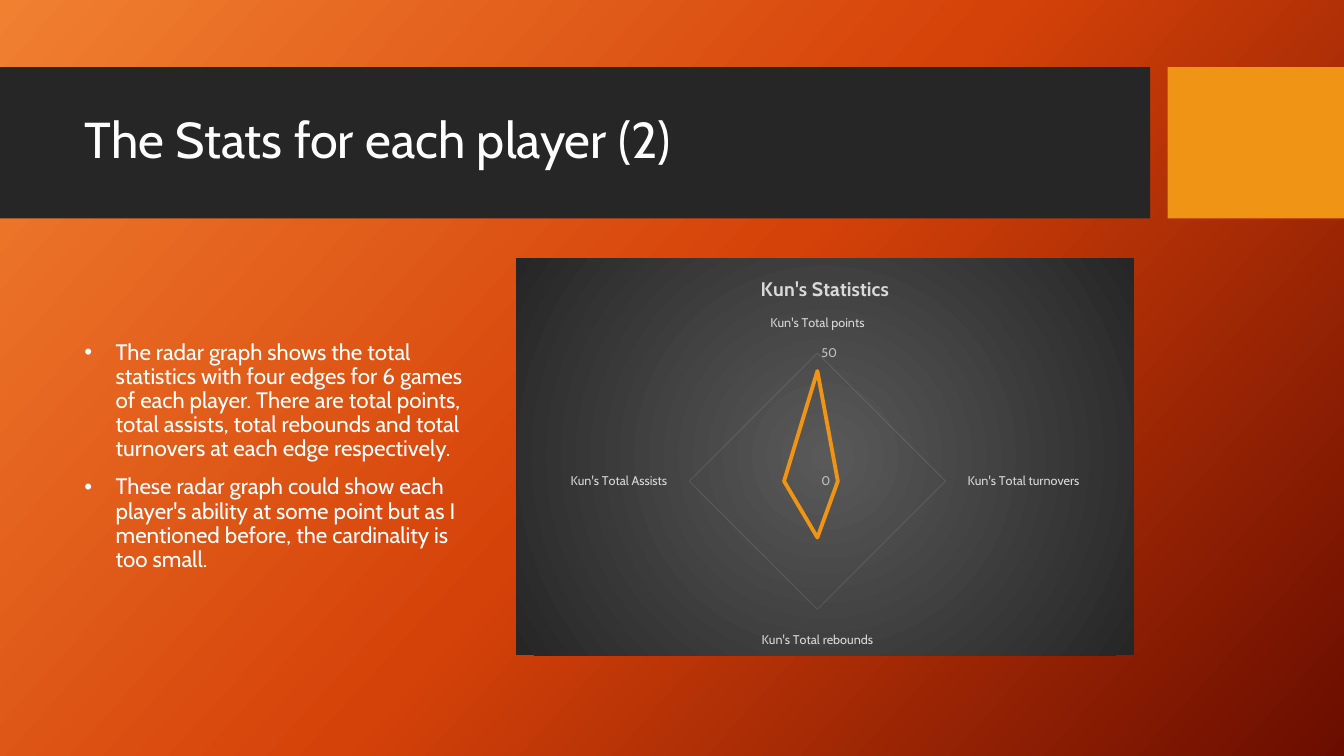
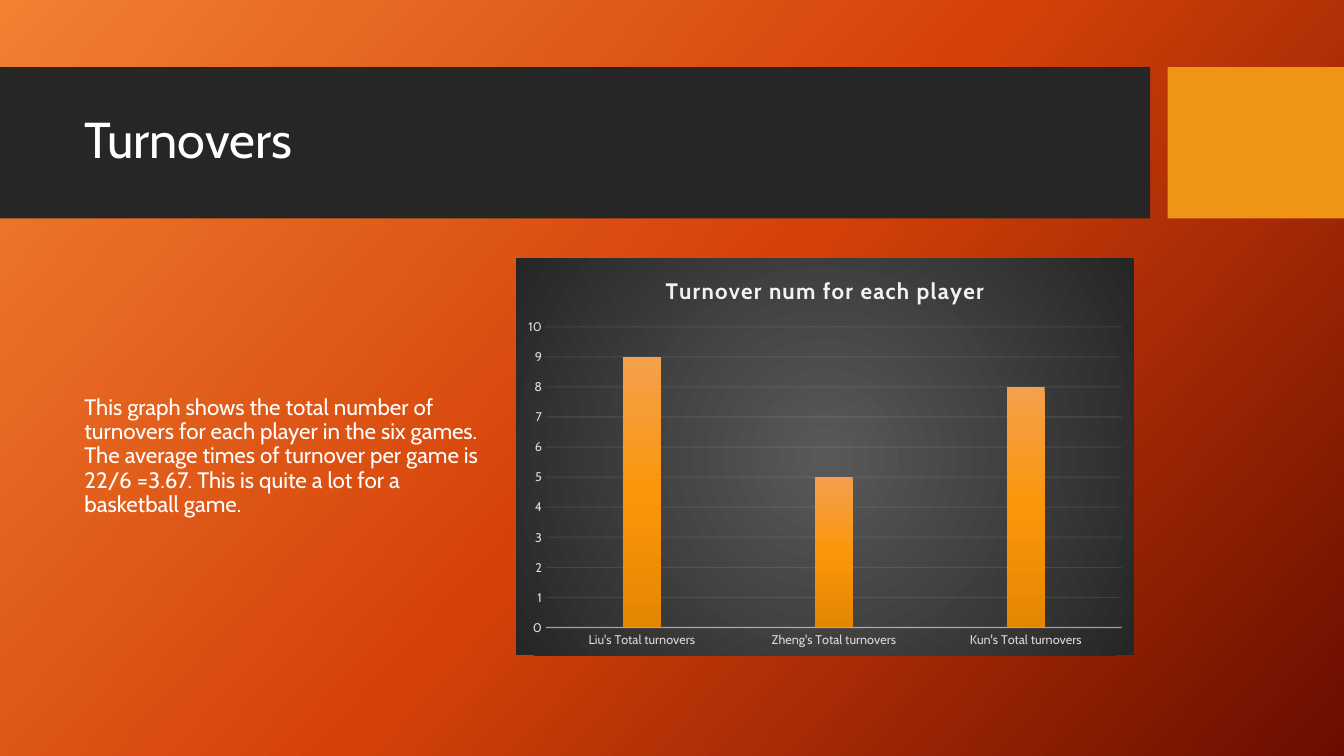
from lxml.etree import SubElement
from pptx import Presentation
from pptx.chart.data import CategoryChartData
from pptx.dml.color import RGBColor
from pptx.enum.chart import XL_CHART_TYPE as ChartType, XL_TICK_MARK as TickMark
from pptx.enum.shapes import MSO_SHAPE as Shape
from pptx.enum.text import MSO_ANCHOR as Anchor
from pptx.oxml import parse_xml
from pptx.oxml.ns import nsdecls, qn
from pptx.util import Emu, Inches, Pt

FONT = "Cabin"
WHITE, DARK, AMBER = "FFFFFF", "262626", "F09415"
PALE, SOFT, MUTED = "F2F2F2", "D9D9D9", "BFBFBF"
BACKDROP = [(0, "F18031"), (50, "D54209"), (100, "6A0D00")]
CHART_GLOW = [(0, "595959"), (100, DARK)]
BAR_GLOW = [(0, "F4A04D"), (50, "FB960A"), (100, "E58603")]

# The slide is a grid of 80 columns by 45 rows; areas are left, top, width, height.
COLUMNS, ROWS = 80, 45
CELL = Inches(1 / 6)
TITLE_BAND = (0, 4, 68.46, 9)
ACCENT_BLOCK = (69.5, 4, 10.5, 9)
TITLE_AREA = (4.44, 4.92, 63.06, 7.08)
BODY_AREA = (4.44, 15.36, 24.84, 23.64)
CHART_AREA = (30.72, 15.36, 36.78, 23.64)


def place(area):
    """Turn a grid area into slide lengths."""
    return [Emu(int(cells * CELL)) for cells in area]


def rgb(value):
    """Make a colour from a hex string."""
    return RGBColor.from_string(value)


def style_font(font, size, color, bold=False):
    """Set the deck's typeface with a size, colour and weight."""
    font.name, font.size, font.bold = FONT, Pt(size), bold
    font.color.rgb = rgb(color)


def gradient(stops, angle=None):
    """Build a linear gradient fill, or a circular one without an angle."""
    marks = "".join(
        f'<a:gs pos="{share * 1000}"><a:srgbClr val="{color}"/></a:gs>'
        for share, color in stops)
    if angle is None:
        sides = " ".join(f'{side}="50000"' for side in "ltrb")
        course = f'<a:path path="circle"><a:fillToRect {sides}/></a:path>'
    else:
        course = f'<a:lin ang="{angle * 60000}" scaled="0"/>'
    return parse_xml(f'<a:gradFill {nsdecls("a")} rotWithShape="1">'
                     f'<a:gsLst>{marks}</a:gsLst>{course}</a:gradFill>')


def fill_gradient(fill, owner, stops, angle):
    """Replace the fill inside its owner element with a gradient."""
    fill.solid()
    fill.fore_color.rgb = rgb(stops[0][1])
    plain = next(owner.iter(qn("a:solidFill")))
    plain.getparent().replace(plain, gradient(stops, angle))


def style_line(line, color, width, opacity=100):
    """Set a line's colour, width and opacity in percent."""
    line.color.rgb, line.width = rgb(color), Pt(width)
    if opacity < 100:
        tint = next(line._get_or_add_ln().iter(qn("a:srgbClr")))
        SubElement(tint, qn("a:alpha")).set("val", str(opacity * 1000))


def add_block(slide, area, color):
    """Draw a flat rectangle."""
    block = slide.shapes.add_shape(Shape.RECTANGLE, *place(area))
    block.shadow.inherit = False
    block.fill.solid()
    block.fill.fore_color.rgb = rgb(color)
    block.line.fill.background()


def add_text(slide, area, lines, size, space_before=0, bulleted=False):
    """Write vertically centred paragraphs, with bullets on request."""
    frame = slide.shapes.add_textbox(*place(area)).text_frame
    frame.word_wrap, frame.vertical_anchor = True, Anchor.MIDDLE
    frame.text = "\n".join(lines)
    for paragraph in frame.paragraphs:
        paragraph.line_spacing, paragraph.space_before = 0.9, Pt(space_before)
        style_font(paragraph.runs[0].font, size, WHITE)
        if bulleted:
            props = paragraph._p.get_or_add_pPr()
            indent = Inches(0.31)
            props.set("marL", str(indent))
            props.set("indent", str(-indent))
            SubElement(props, qn("a:buFont")).set("typeface", "Arial")
            SubElement(props, qn("a:buChar")).set("char", "•")


def style_axis(axis, color):
    """Give an axis small labels and no tick marks."""
    axis.major_tick_mark = axis.minor_tick_mark = TickMark.NONE
    style_font(axis.tick_labels.font, 9, color)


def add_stats_chart(slide, kind, heading, values, heading_size, heading_color,
                    scale_color):
    """Add a one-series chart on a dark glowing panel."""
    stats = CategoryChartData()
    stats.categories = list(values)
    stats.add_series("Series 1", list(values.values()))
    chart = slide.shapes.add_chart(kind, *place(CHART_AREA), stats).chart
    chart.has_legend = False
    style_font(chart.font, 10, WHITE)
    panel = parse_xml(f'<c:spPr {nsdecls("c", "a")}><a:ln><a:noFill/></a:ln></c:spPr>')
    panel.insert(0, gradient(CHART_GLOW))
    chart._chartSpace.find(qn("c:chart")).addnext(panel)

    chart.has_title = True
    chart.chart_title.include_in_layout = False
    title = chart.chart_title.text_frame
    title.text = heading
    style_font(title.paragraphs[0].runs[0].font, heading_size, heading_color, True)

    names, scale = chart.category_axis, chart.value_axis
    style_axis(names, SOFT)
    style_axis(scale, scale_color)
    names.has_major_gridlines = False
    style_line(names.format.line, PALE, 1, 54)
    scale.format.line.fill.background()
    scale.has_major_gridlines = True
    style_line(scale.major_gridlines.format.line, PALE, 0.75, 10)
    scale.minimum_scale = 0
    scale.tick_labels.number_format = "General"
    scale.tick_labels.number_format_is_linked = False
    chart.plots[0].vary_by_categories = False
    return chart


def add_radar(slide, heading, values):
    """Add a player's radar chart."""
    chart = add_stats_chart(slide, ChartType.RADAR, heading, values, 14, SOFT, MUTED)
    chart.value_axis.maximum_scale = chart.value_axis.major_unit = 50
    outline = chart.plots[0].series[0]
    outline.smooth = False
    style_line(outline.format.line, AMBER, 2.75)


def add_columns(slide, heading, values):
    """Add a column chart that compares the players."""
    chart = add_stats_chart(slide, ChartType.COLUMN_CLUSTERED, heading, values,
                            16, PALE, SOFT)
    heading_run = chart.chart_title.text_frame.paragraphs[0].runs[0]
    heading_run.font._element.set("spc", "100")
    chart.value_axis.maximum_scale, chart.value_axis.major_unit = 10, 1
    plot = chart.plots[0]
    plot.gap_width, plot.overlap = 405, -45
    bars = plot.series[0]
    fill_gradient(bars.format.fill, bars._element, BAR_GLOW, 90)


def add_slide(deck, title, body, bulleted=False):
    """Start a slide with the shared backdrop, bands, title and body text."""
    slide = deck.slides.add_slide(deck.slide_layouts[6])
    fill_gradient(slide.background.fill, slide.element, BACKDROP, 42)
    add_block(slide, TITLE_BAND, DARK)
    add_block(slide, ACCENT_BLOCK, AMBER)
    add_text(slide, TITLE_AREA, [title], 36)
    add_text(slide, BODY_AREA, body, 16, 10, bulleted)
    return slide


def main():
    """Build the deck."""
    deck = Presentation()
    deck.slide_width, deck.slide_height = COLUMNS * CELL, ROWS * CELL

    player_stats = add_slide(deck, "The Stats for each player (2)", [
        "The radar graph shows the total statistics with four edges for 6 games "
        "of each player. There are total points, total assists, total rebounds "
        "and total turnovers at each edge respectively.",
        "These radar graph could show each player's ability at some point but "
        "as I mentioned before, the cardinality is too small.",
    ], bulleted=True)
    add_radar(player_stats, "Kun's Statistics", {
        "Kun's Total points": 43, "Kun's Total turnovers": 8,
        "Kun's Total rebounds": 22, "Kun's Total Assists": 13})

    turnovers = add_slide(deck, "Turnovers", [
        "This graph shows the total number of turnovers for each player in the "
        "six games. The average times of turnover per game is 22/6 =3.67. This "
        "is quite a lot for a basketball game."])
    add_columns(turnovers, "Turnover num for each player", {
        "Liu's Total turnovers": 9, "Zheng's Total turnovers": 5,
        "Kun's Total turnovers": 8})

    deck.save("out.pptx")


main()
